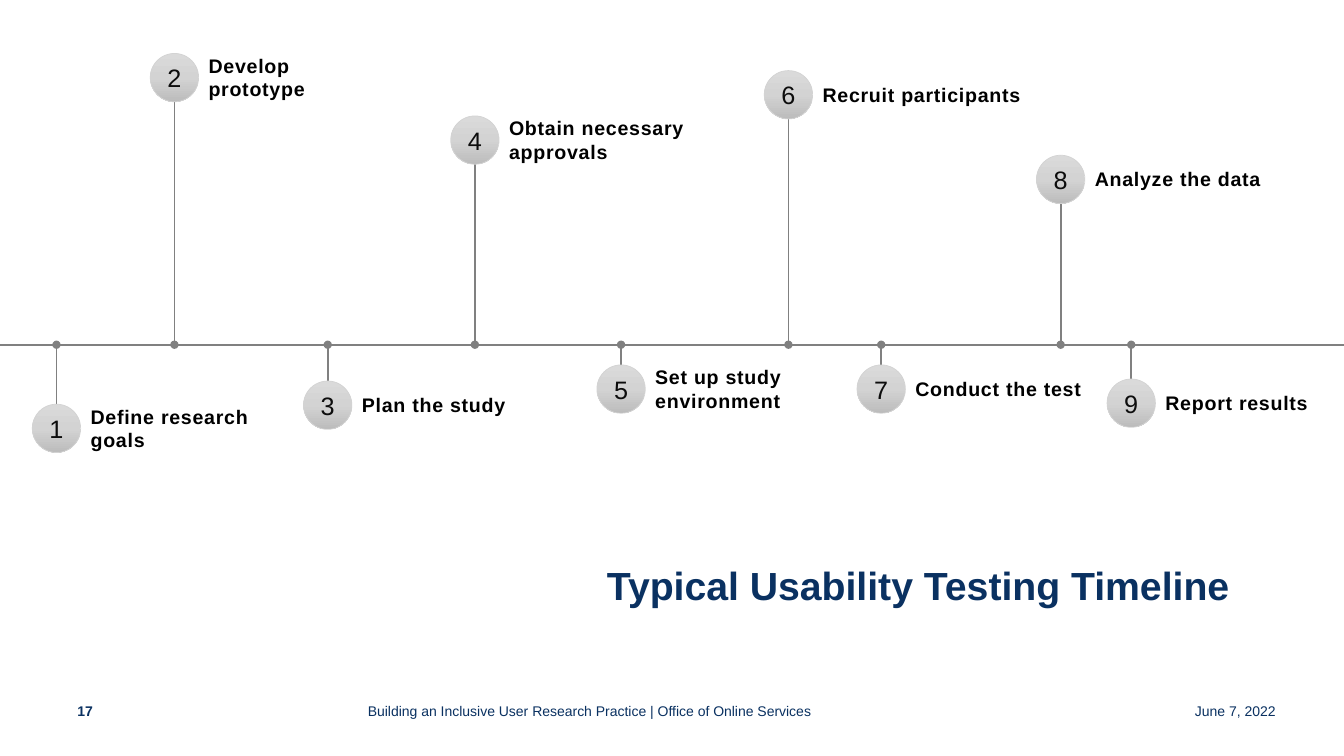
from copy import deepcopy

from pptx import Presentation
from pptx.dml.color import RGBColor
from pptx.enum.shapes import MSO_CONNECTOR as CONN, MSO_SHAPE as SHAPE
from pptx.enum.text import MSO_ANCHOR as ANCHOR, MSO_AUTO_SIZE as AUTO, PP_ALIGN as ALIGN
from pptx.oxml.ns import qn
from pptx.oxml.xmlchemy import OxmlElement
from pptx.util import Inches, Pt

NAVY, GRAY = "0A3161", "808080"
AXIS_Y, BUBBLE = 3.42, 0.48
GRADIENT = [(0, "DADADA"), (0.5, "D3D3D3"), (1, "BCBCBC")]

# bubble left, bubble top, label, label width, label height, wraps
STEPS = [
    (0.32, 4.01, "Define research goals", 1.79, 0.57, True),
    (1.49, 0.53, "Develop prototype", 1.94, 0.57, True),
    (3.01, 3.78, "Plan the study", 2.39, 0.34, True),
    (4.47, 1.15, "Obtain necessary approvals", 2.38, 0.57, True),
    (5.92, 3.62, "Set up study environment", 1.8, 0.57, True),
    (7.58, 0.7, "Recruit participants", 2.46, 0.34, True),
    (8.5, 3.62, "Conduct the test", 1.86, 0.34, False),
    (10.28, 1.54, "Analyze the data", 1.86, 0.34, False),
    (10.98, 3.76, "Report results", 1.63, 0.34, False),
]
FOOTER = [
    (0.51, 0.67, "17", ALIGN.CENTER, True),
    (3.55, 5.33, "Building an Inclusive User Research Practice | Office of Online Services",
     ALIGN.LEFT, False),
    (9.75, 3, "June 7, 2022", ALIGN.RIGHT, False),
]


def write(sp, text, size, color, bold=False, align=ALIGN.LEFT, anchor=ANCHOR.MIDDLE, wrap=True):
    """Fill a shape with one formatted paragraph and return it."""
    tf = sp.text_frame
    tf.word_wrap, tf.vertical_anchor = wrap, anchor
    p = tf.paragraphs[0]
    p.alignment = align
    r = p.add_run()
    r.text = text
    for name, value in {"name": "Arial", "size": Pt(size), "bold": bold}.items():
        setattr(r.font, name, value)
    r.font.color.rgb = RGBColor.from_string(color)
    return p


def add_line(x1, y1, x2, y2):
    line = s.shapes.add_connector(CONN.STRAIGHT, *map(Inches, (x1, y1, x2, y2)))
    line.line.color.rgb = RGBColor.from_string(GRAY)
    line.line.width = Pt(1.25)
    line._element.spPr.append(OxmlElement("a:effectLst"))
    return line


prs = Presentation()
prs.slide_width, prs.slide_height = Inches(13.33), Inches(7.5)
s = prs.slides.add_slide(prs.slide_layouts[5])

title = s.shapes.title
title.left, title.top, title.width, title.height = map(Inches, (5.92, 5.49, 7.25, 0.6))
p = write(title, "Typical Usability Testing Timeline", 28, NAVY, True, anchor=ANCHOR.BOTTOM)
p.line_spacing = 0.9
title.text_frame.auto_size = AUTO.NONE

add_line(0, AXIS_Y, 13.33, AXIS_Y)
for x, y, *_ in STEPS:
    center = x + BUBBLE / 2
    stem = add_line(center, AXIS_Y, center, y + BUBBLE)
    dot = OxmlElement("a:headEnd")
    dot.set("type", "oval")
    stem.line._get_or_add_ln().append(dot)

for number, (x, y, label, width, height, wrap) in enumerate(STEPS, 1):
    sp = s.shapes.add_shape(SHAPE.OVAL, *map(Inches, (x, y, BUBBLE, BUBBLE)))
    sp.shadow.inherit = False
    sp.fill.gradient()
    sp.fill.gradient_angle = 270
    stops = sp._element.spPr.find(qn("a:gradFill")).find(qn("a:gsLst"))
    stops.append(deepcopy(stops[0]))
    for stop, (position, color) in zip(sp.fill.gradient_stops, GRADIENT):
        stop.position = position
        stop.color.rgb = RGBColor.from_string(color)
    sp.line.color.rgb = RGBColor.from_string("D3D3D3")
    sp.line.width = Pt(0.5)
    write(sp, str(number), 18, "0D0D0D", align=ALIGN.CENTER)

    top = y + (BUBBLE - height) / 2
    box = s.shapes.add_textbox(*map(Inches, (x + BUBBLE, top, width, height)))
    p = write(box, label, 14, "000000", True, anchor=ANCHOR.TOP, wrap=wrap)
    p.space_after = Pt(6)
    p.runs[0].font._element.set("spc", "50")
    box.text_frame.auto_size = AUTO.SHAPE_TO_FIT_TEXT

for x, width, text, align, bold in FOOTER:
    box = s.shapes.add_textbox(*map(Inches, (x, 6.85, width, 0.4)))
    write(box, text, 10, NAVY, bold, align)

prs.save("out.pptx")
